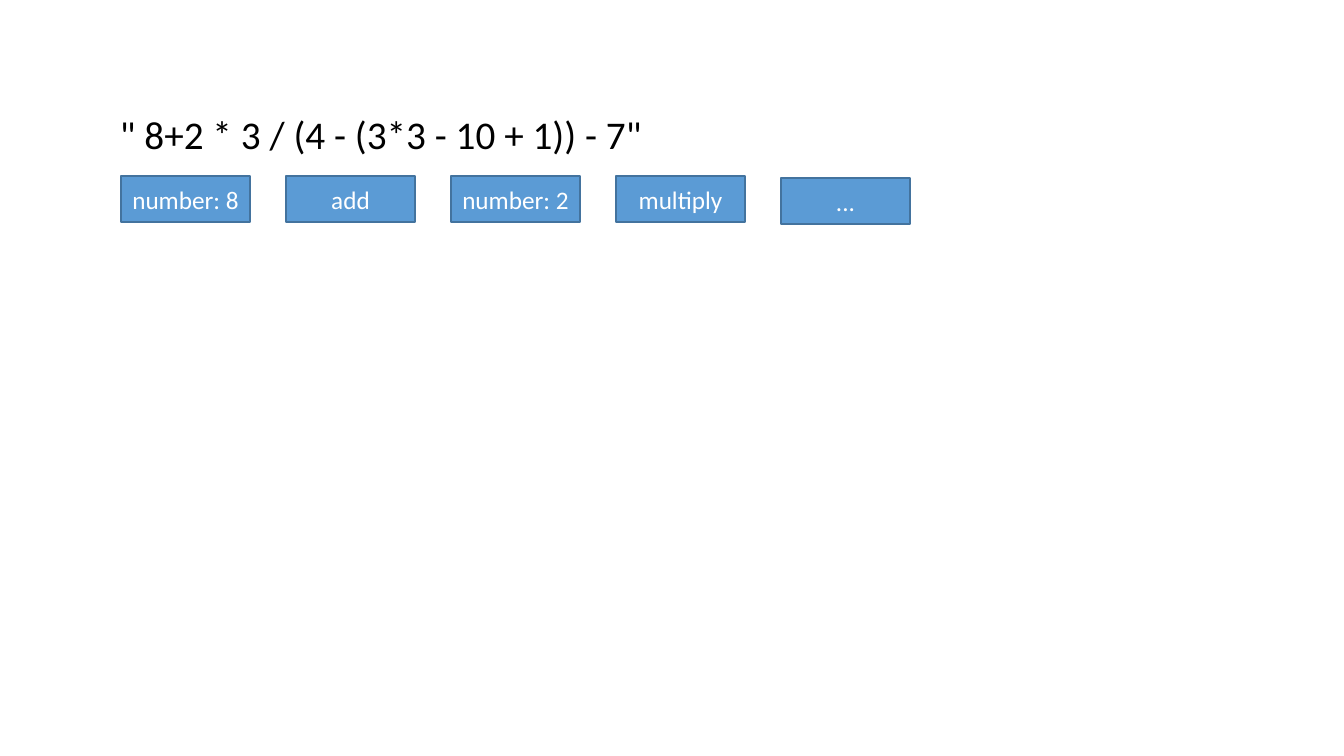
from pptx import Presentation, util as u
from pptx.dml.color import RGBColor
from pptx.enum import shapes, text

PIXELS_PER_INCH = 100.8
BLANK_LAYOUT = 6


def px(pixels):
    """Turn whole pixels into EMU."""
    return u.Emu(round(pixels * u.Inches(1) / PIXELS_PER_INCH))


def color(hex_code):
    """Turn a hex string into a colour."""
    return RGBColor.from_string(hex_code)


class TokenSlide:
    """Holds the style and the current slide."""

    font_name = "Calibri"
    ink = "000000"
    token_fill = "5B9BD5"
    token_line = "43739E"
    token_ink = "FFFFFF"

    def __init__(self, deck):
        """Add a blank slide to the deck."""
        self.slide = deck.slides.add_slide(deck.slide_layouts[BLANK_LAYOUT])

    def set_words(self, frame, words, size, ink):
        """Fill a text frame with one styled paragraph and return it."""
        para = frame.paragraphs[0]
        para.text = words
        para.font.name = self.font_name
        para.font.size = u.Pt(size)
        para.font.color.rgb = color(ink)
        return para

    def expression(self, words, left, top, width, height):
        """Add the source expression as an unwrapped line of text."""
        box = self.slide.shapes.add_textbox(px(left), px(top), px(width), px(height))
        box.text_frame.word_wrap = False
        box.text_frame.auto_size = text.MSO_AUTO_SIZE.SHAPE_TO_FIT_TEXT
        self.set_words(box.text_frame, words, 28, self.ink)

    def token(self, words, left, top, width, height):
        """Add one token as a labelled rectangle."""
        box = self.slide.shapes.add_shape(
            shapes.MSO_SHAPE.RECTANGLE, px(left), px(top), px(width), px(height))
        box.shadow.inherit = False
        box.fill.solid()
        box.fill.fore_color.rgb = color(self.token_fill)
        box.line.color.rgb = color(self.token_line)
        box.line.width = u.Pt(1)
        box.text_frame.word_wrap = True
        box.text_frame.vertical_anchor = text.MSO_ANCHOR.MIDDLE
        para = self.set_words(box.text_frame, words, 18, self.token_ink)
        para.alignment = text.PP_ALIGN.CENTER


deck = Presentation()
deck.slide_width, deck.slide_height = px(1344), px(756)

page = TokenSlide(deck)
page.expression('" 8+2 * 3 / (4 - (3*3 - 10 + 1)) - 7"', 110, 105, 550, 57)

# The closing ellipsis sits slightly lower than the named tokens.
tokens = [("number: 8", 176), ("add", 176), ("number: 2", 176),
          ("multiply", 176), ("...", 178)]
for column, (label, top) in enumerate(tokens):
    page.token(label, 121 + 165 * column, top, 129, 46)

deck.save("out.pptx")
